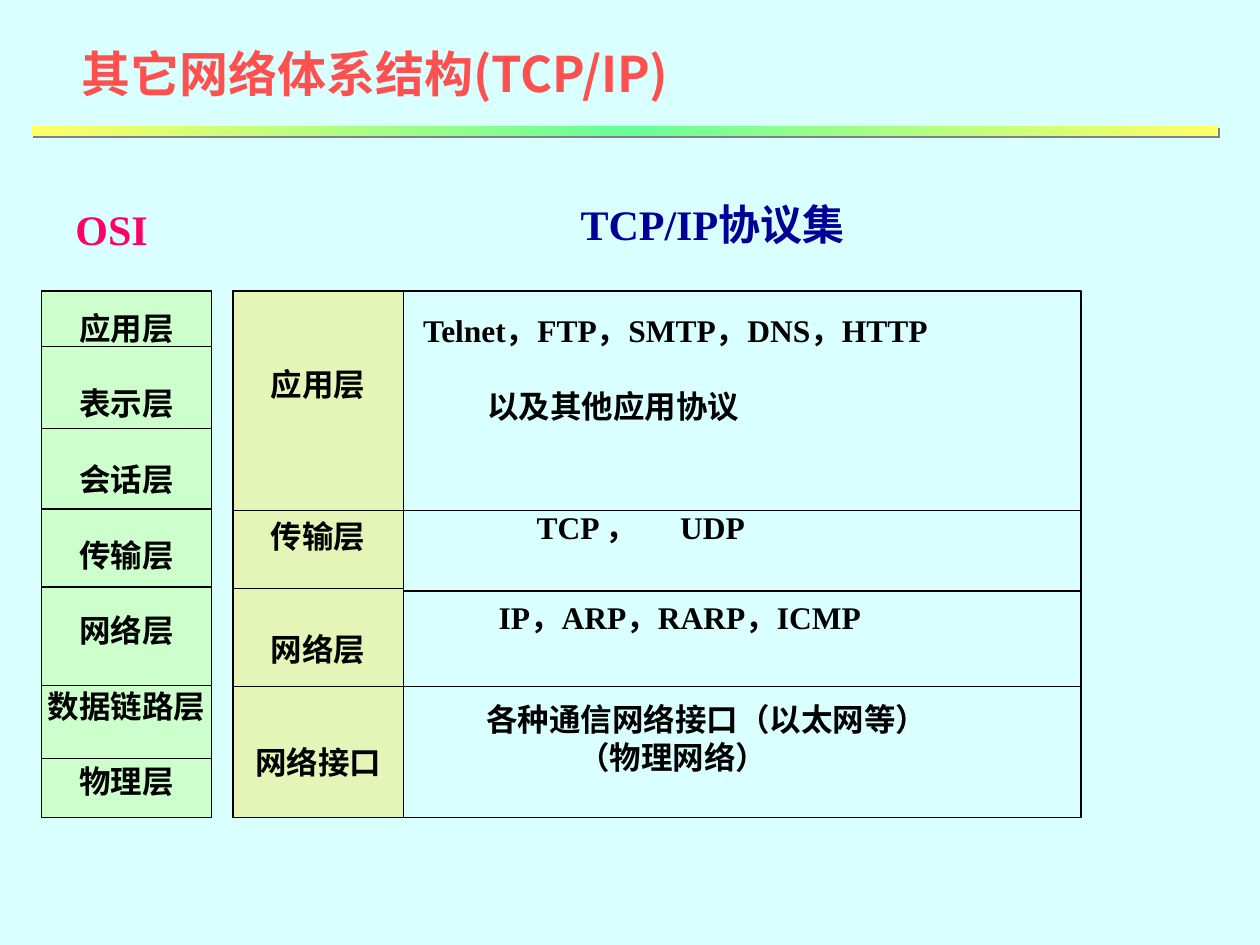
from copy import deepcopy

from pptx import Presentation
from pptx.dml.color import RGBColor
from pptx.enum.shapes import MSO_CONNECTOR, MSO_SHAPE
from pptx.enum.text import MSO_ANCHOR, PP_ALIGN
from pptx.oxml import parse_xml
from pptx.oxml.ns import nsdecls, qn
from pptx.util import Inches, Pt

BACKGROUND = RGBColor(0xD9, 0xFF, 0xFF)
YELLOW = RGBColor(0xFF, 0xFF, 0x66)
MINT = RGBColor(0x66, 0xFF, 0x99)
RED = RGBColor(0xFF, 0x50, 0x50)
PINK = RGBColor(0xFF, 0x00, 0x66)
NAVY = RGBColor(0x00, 0x00, 0x99)
BLACK = RGBColor(0x00, 0x00, 0x00)
OSI_GREEN = RGBColor(0xCC, 0xFF, 0xCC)
TCPIP_LIME = RGBColor(0xE5, 0xF5, 0xB7)
SERIF, SANS = "Times New Roman", "Noto Sans CJK SC"
LINE = 21.6  # text line pitch in points

# Content: headings are (text, left, top, width, height, size, font, colour)
HEADINGS = [
    ("其它网络体系结构(TCP/IP)", 0.55, 0.3, 5.27, 0.57, 28, SANS, RED),
    ("OSI", 0.5, 1.57, 0.82, 0.5, 24, SERIF, PINK),
    ("TCP/IP协议集", 4.51, 1.53, 2.42, 0.5, 24, SERIF, NAVY),
]
# Layers are (name, free text lines above it)
OSI_LAYERS = [(name, 1) for name in (
    "应用层", "表示层", "会话层", "传输层", "网络层", "数据链路层", "物理层")]
TCPIP_LAYERS = [("应用层", 1), ("传输层", 3), ("网络层", 2), ("网络接口", 2)]
# Protocols are (left, top, width, height, [(text, indent, free lines above)])
PROTOCOLS = [
    (3.26, 2.42, 4.75, 1.0, [("Telnet，FTP，SMTP，DNS，HTTP", 0, 0),
                             ("以及其他应用协议", 0.51, 1)]),
    (4.16, 3.98, 1.92, 0.4, [("TCP ，\tUDP", 0, 0)]),
    (3.86, 4.7, 3.5, 0.4, [("IP，ARP，RARP，ICMP", 0, 0)]),
    (3.76, 5.51, 3.75, 0.7, [("各种通信网络接口（以太网等）", 0, 0),
                             ("（物理网络）", 0.73, 0)]),
]
UDP_TAB = 1.14

# Grid
TOP, HEIGHT = 2.31, 4.18
OSI_LEFT, TCPIP_LEFT, LAYER_W = 0.33, 1.85, 1.35
PROTOCOL_LEFT, RIGHT = TCPIP_LEFT + LAYER_W, 8.58
DIVIDERS = [
    (OSI_LEFT, OSI_LEFT + LAYER_W, [2.75, 3.4, 4.04, 4.66, 5.44, 6.02]),
    (TCPIP_LEFT, PROTOCOL_LEFT, [4.05, 4.67, 5.45]),
    (PROTOCOL_LEFT, RIGHT, [4.05, 4.69, 5.45]),
]

prs = Presentation()
prs.slide_width, prs.slide_height = Inches(10), Inches(7.5)
slide = prs.slides.add_slide(prs.slide_layouts[6])
slide.background.fill.solid()
slide.background.fill.fore_color.rgb = BACKGROUND


def add_run(paragraph, text, size=18, font=SERIF, color=BLACK):
    run = paragraph.add_run()
    run.text = text
    run.font.size, run.font.name, run.font.bold = Pt(size), font, True
    run.font.color.rgb = color
    if font == SANS:
        run.font._element.append(
            parse_xml(f'<a:ea {nsdecls("a")} typeface="{font}"/>'))


def next_paragraph(frame, first):
    return frame.paragraphs[0] if first else frame.add_paragraph()


def add_text_box(left, top, width, height):
    box = slide.shapes.add_textbox(
        Inches(left), Inches(top), Inches(width), Inches(height))
    box.text_frame.word_wrap = True
    return box.text_frame


def add_rectangle(left, top, width, height, color=None):
    rect = slide.shapes.add_shape(
        MSO_SHAPE.RECTANGLE, Inches(left), Inches(top), Inches(width), Inches(height))
    rect.shadow.inherit = False
    if color is None:
        rect.fill.background()
    else:
        rect.fill.solid()
        rect.fill.fore_color.rgb = color
    rect.line.color.rgb = BLACK
    rect.line.width = Pt(0.75)
    return rect


def add_line(x1, y1, x2, y2):
    line = slide.shapes.add_connector(
        MSO_CONNECTOR.STRAIGHT, Inches(x1), Inches(y1), Inches(x2), Inches(y2))
    line.line.color.rgb = BLACK
    line.line.width = Pt(0.75)
    line._element.spPr.append(parse_xml(f'<a:effectLst {nsdecls("a")}/>'))


def add_layer_column(left, color, layers, lead=0):
    frame = add_rectangle(left, TOP, LAYER_W, HEIGHT, color).text_frame
    frame.word_wrap = False
    frame.vertical_anchor = MSO_ANCHOR.MIDDLE
    frame.margin_top = Inches(0.05) + Pt(lead * LINE)
    for i, (name, gap) in enumerate(layers):
        paragraph = next_paragraph(frame, i == 0)
        paragraph.alignment = PP_ALIGN.CENTER
        paragraph.line_spacing = Pt(LINE)
        if i:
            paragraph.space_before = Pt(gap * LINE)
        add_run(paragraph, name)


# Gradient bar under the title
bar = add_rectangle(0.25, 1, 9.42, 0.08, YELLOW)
bar.line.fill.background()
bar.fill.gradient()
bar.fill.gradient_angle = 0
stop_list = bar._element.spPr.find(qn("a:gradFill")).find(qn("a:gsLst"))
stop_list.append(deepcopy(stop_list[0]))
for stop, position, color in zip(
        bar.fill.gradient_stops, (0, 0.5, 1), (YELLOW, MINT, YELLOW)):
    stop.position = position
    stop.color.rgb = color
bar._element.spPr.find(qn("a:effectLst")).append(parse_xml(
    f'<a:outerShdw {nsdecls("a")} dist="{Pt(1.4)}" dir="2700000" algn="ctr" '
    'rotWithShape="0"><a:srgbClr val="808080"/></a:outerShdw>'))

# Title and column headings
for text, left, top, width, height, size, font, color in HEADINGS:
    heading = add_text_box(left, top, width, height).paragraphs[0]
    add_run(heading, text, size, font, color)

# Layer columns, protocol frame and dividers
add_rectangle(TCPIP_LEFT, TOP, RIGHT - TCPIP_LEFT, HEIGHT)
add_layer_column(OSI_LEFT, OSI_GREEN, OSI_LAYERS)
add_layer_column(TCPIP_LEFT, TCPIP_LIME, TCPIP_LAYERS, lead=1)
for x1, x2, levels in DIVIDERS:
    for y in levels:
        add_line(x1, y, x2, y)

# Protocols of each layer
for left, top, width, height, entries in PROTOCOLS:
    frame = add_text_box(left, top, width, height)
    for i, (text, indent, gap) in enumerate(entries):
        paragraph = next_paragraph(frame, i == 0)
        paragraph.line_spacing = Pt(LINE)
        if gap:
            paragraph.space_before = Pt(gap * LINE)
        properties = paragraph._p.get_or_add_pPr()
        if indent:
            properties.set("marL", str(Inches(indent)))
        if "\t" in text:
            properties.append(parse_xml(
                f'<a:tabLst {nsdecls("a")}><a:tab pos="{Inches(UDP_TAB)}" algn="l"/>'
                '</a:tabLst>'))
        add_run(paragraph, text)

prs.save("out.pptx")
